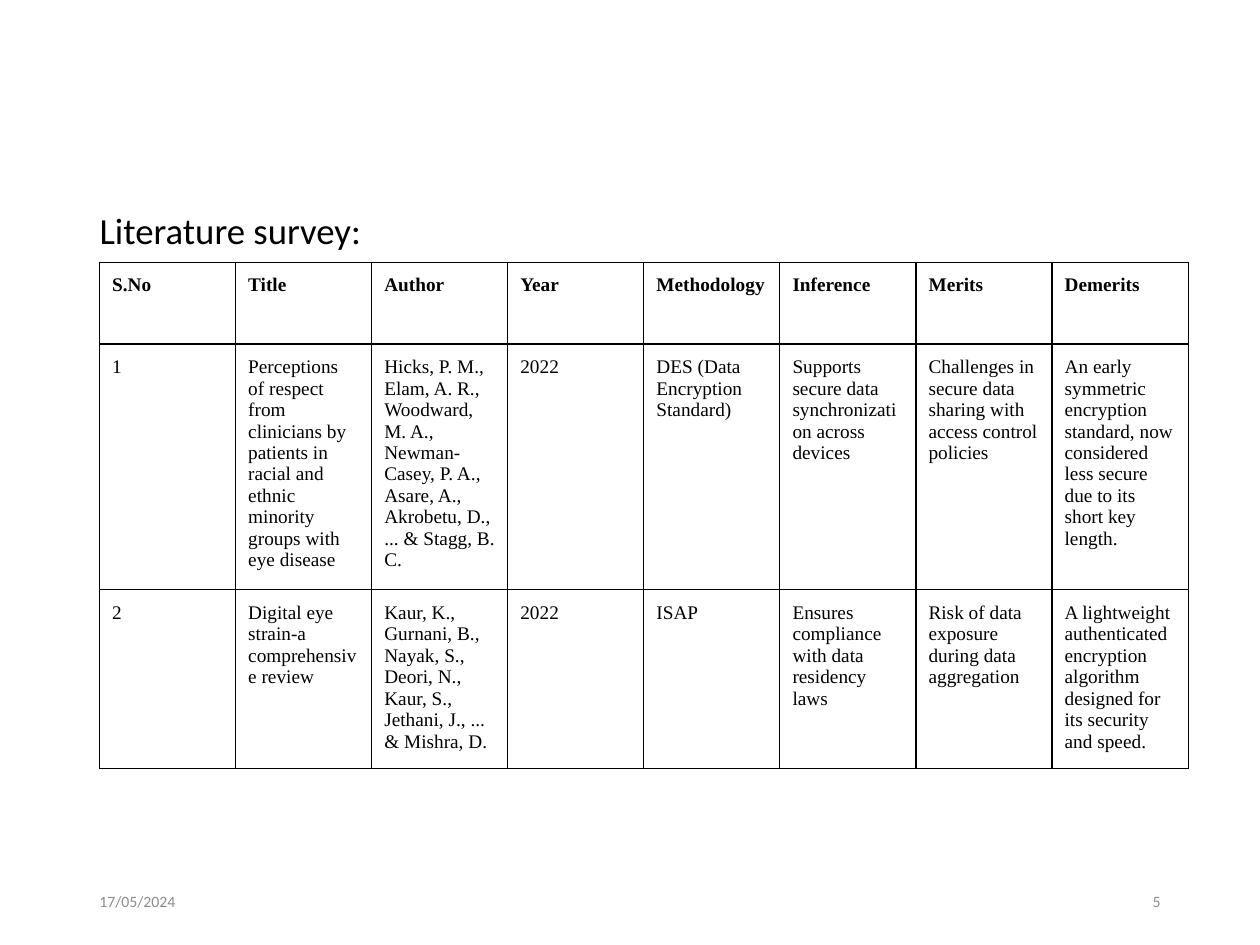
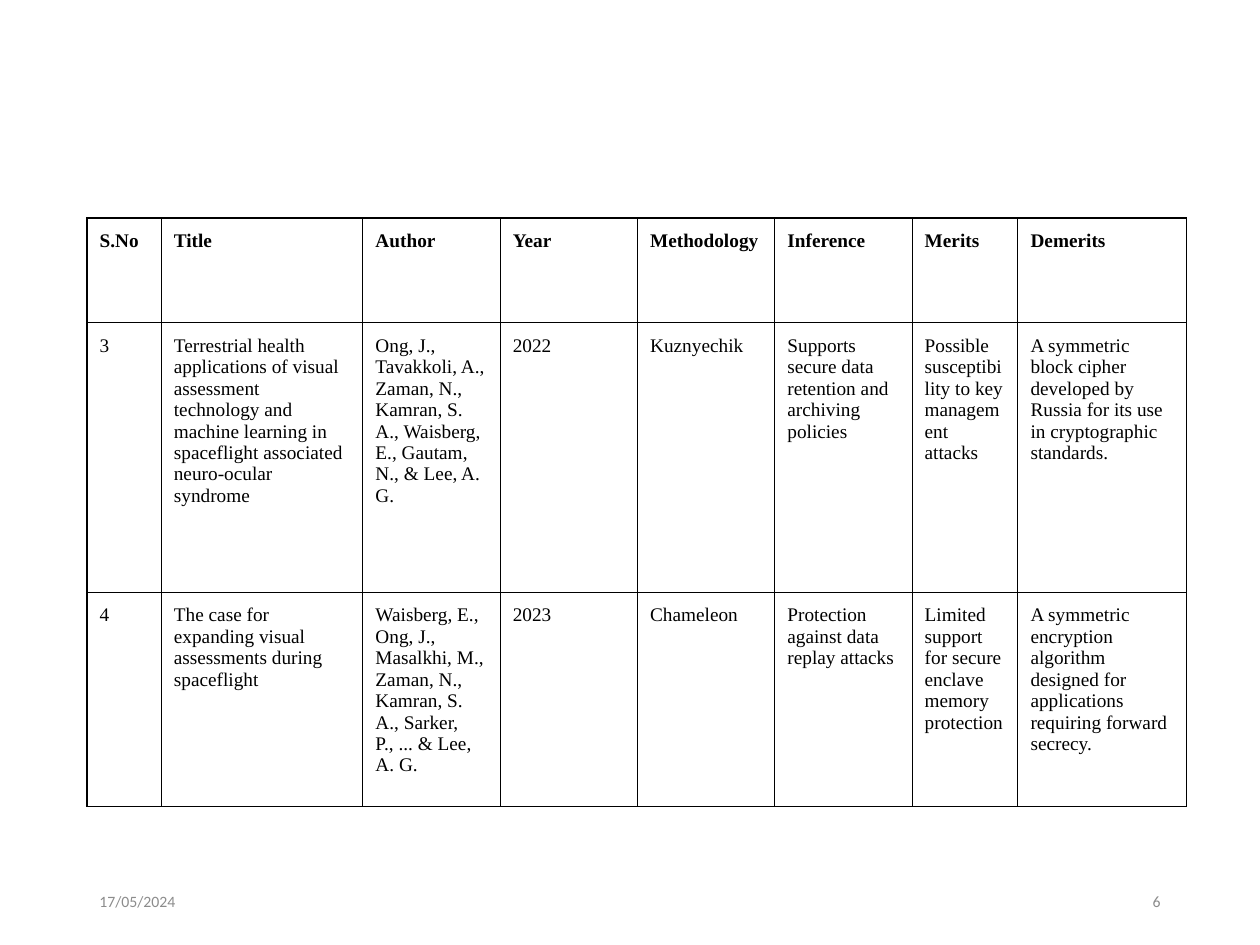
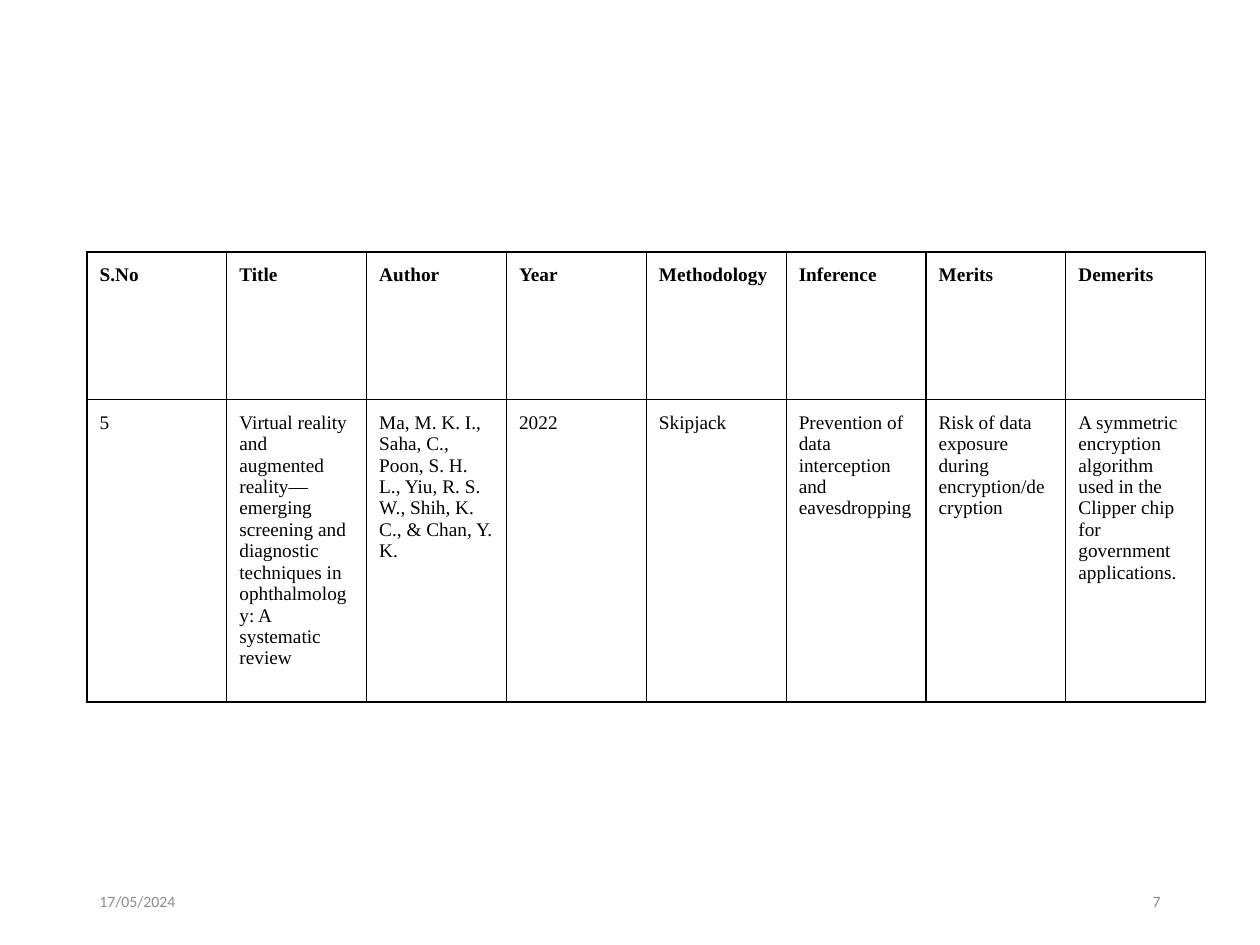
"""Build three literature survey slides, each with a ruled table and a dated footer."""
from lxml import etree
from pptx import Presentation
from pptx.dml.color import RGBColor
from pptx.enum.text import MSO_ANCHOR, MSO_AUTO_SIZE, PP_ALIGN
from pptx.oxml.ns import qn
from pptx.util import Inches, Pt

MIDDLE = MSO_ANCHOR.MIDDLE
NO_AUTOFIT = MSO_AUTO_SIZE.NONE
LEFT, RIGHT = PP_ALIGN.LEFT, PP_ALIGN.RIGHT

BLACK = RGBColor(0x00, 0x00, 0x00)
GRAY = RGBColor(0x8C, 0x8C, 0x8C)
HEADING_FONT = "Calibri"
TABLE_FONT = "Times New Roman"

SLIDE_WIDTH, SLIDE_HEIGHT = Inches(10), Inches(7.5)
MARGIN = Inches(0.69)
CONTENT_WIDTH = SLIDE_WIDTH - 2 * MARGIN
FOOTER_WIDTH = Inches(2.25)
FOOTER_HEIGHT = Inches(0.4)
FOOTER_TOP = Inches(6.95)
CELL_MARGIN = Inches(0.1)
BORDER_WIDTH = Pt(0.75)

DATE = "17/05/2024"
FIRST_NUMBER = 5
HEADERS = ["S.No", "Title", "Author", "Year", "Methodology", "Inference", "Merits", "Demerits"]

SURVEYS = [
    {
        "heading": "Literature survey:",
        "left": 0.79,
        "top": 2.08,
        "columns": [1.08] * len(HEADERS),
        "rows": [0.65, 1.95, 1.42],
        "entries": [
            ["1",
             "Perceptions of respect from clinicians by patients in racial and ethnic minority groups "
             "with eye disease",
             "Hicks, P. M., Elam, A. R., Woodward, M. A., Newman-Casey, P. A., Asare, A., "
             "Akrobetu, D., ... & Stagg, B. C.",
             "2022",
             "DES (Data Encryption Standard)",
             "Supports secure data synchronization across devices",
             "Challenges in secure data sharing with access control policies",
             "An early symmetric encryption standard, now considered less secure due to its short "
             "key length."],
            ["2",
             "Digital eye strain-a comprehensive review",
             "Kaur, K., Gurnani, B., Nayak, S., Deori, N., Kaur, S., Jethani, J., ... & Mishra, D.",
             "2022",
             "ISAP",
             "Ensures compliance with data residency laws",
             "Risk of data exposure during data aggregation",
             "A lightweight authenticated encryption algorithm designed for its security and speed."],
        ],
    },
    {
        "heading": None,
        "left": 0.69,
        "top": 1.73,
        "columns": [0.59, 1.6, 1.09, 1.09, 1.09, 1.09, 0.84, 1.34],
        "rows": [0.83, 2.14, 1.7],
        "entries": [
            ["3",
             "Terrestrial health applications of visual assessment technology and machine learning "
             "in spaceflight associated neuro-ocular syndrome",
             "Ong, J., Tavakkoli, A., Zaman, N., Kamran, S. A., Waisberg, E., Gautam, N., "
             "& Lee, A. G.",
             "2022",
             "Kuznyechik",
             "Supports secure data retention and archiving policies",
             "Possible susceptibility to key management attacks",
             "A symmetric block cipher developed by Russia for its use in cryptographic standards."],
            ["4",
             "The case for expanding visual assessments during spaceflight",
             "Waisberg, E., Ong, J., Masalkhi, M., Zaman, N., Kamran, S. A., Sarker, P., ... "
             "& Lee, A. G.",
             "2023",
             "Chameleon",
             "Protection against data replay attacks",
             "Limited support for secure enclave memory protection",
             "A symmetric encryption algorithm designed for applications requiring forward secrecy."],
        ],
    },
    {
        "heading": None,
        "left": 0.69,
        "top": 2,
        "columns": [1.11] * len(HEADERS),
        "rows": [1.17, 2.23],
        "entries": [
            ["5",
             "Virtual reality and augmented reality—emerging screening and diagnostic techniques in "
             "ophthalmology: A systematic review",
             "Ma, M. K. I., Saha, C., Poon, S. H. L., Yiu, R. S. W., Shih, K. C., & Chan, Y. K.",
             "2022",
             "Skipjack",
             "Prevention of data interception and eavesdropping",
             "Risk of data exposure during encryption/decryption",
             "A symmetric encryption algorithm used in the Clipper chip for government applications."],
        ],
    },
]


def write(paragraph, text, font_name, size, color, bold=False):
    run = paragraph.add_run()
    run.text = text
    run.font.name = font_name
    run.font.size = Pt(size)
    run.font.bold = bold
    run.font.color.rgb = color


def draw_borders(cell):
    properties = cell._tc.get_or_add_tcPr()
    for side in ("a:lnL", "a:lnR", "a:lnT", "a:lnB"):
        line = etree.SubElement(properties, qn(side), w=str(BORDER_WIDTH))
        fill = etree.SubElement(line, qn("a:solidFill"))
        etree.SubElement(fill, qn("a:srgbClr"), val=str(BLACK))


presentation = Presentation()
presentation.slide_width = SLIDE_WIDTH
presentation.slide_height = SLIDE_HEIGHT
content_layout = presentation.slide_layouts.get_by_name("Title and Content")
blank_layout = presentation.slide_layouts.get_by_name("Blank")

for number, survey in enumerate(SURVEYS, FIRST_NUMBER):
    slide = presentation.slides.add_slide(content_layout if survey["heading"] else blank_layout)

    if survey["heading"]:
        title = slide.shapes.title
        title.element.getparent().remove(title.element)
        body = slide.placeholders[1]
        body.left, body.top = MARGIN, Inches(1.64)
        body.width, body.height = CONTENT_WIDTH, Inches(5.12)
        body.text_frame.auto_size = NO_AUTOFIT
        paragraph = body.text_frame.paragraphs[0]
        paragraph.line_spacing = 0.9
        paragraph.space_before = Pt(7.5)
        paragraph_properties = paragraph._p.get_or_add_pPr()
        paragraph_properties.set("marL", "0")
        paragraph_properties.set("indent", "0")
        etree.SubElement(paragraph_properties, qn("a:buNone"))
        write(paragraph, survey["heading"], HEADING_FONT, 21, BLACK)

    table = slide.shapes.add_table(
        len(survey["rows"]), len(HEADERS), Inches(survey["left"]), Inches(survey["top"]),
        Inches(sum(survey["columns"])), Inches(sum(survey["rows"]))).table
    table.first_row = table.horz_banding = False
    for column, width in zip(table.columns, survey["columns"]):
        column.width = Inches(width)
    for row, height in zip(table.rows, survey["rows"]):
        row.height = Inches(height)
    for row_index, texts in enumerate([HEADERS] + survey["entries"]):
        for column_index, text in enumerate(texts):
            cell = table.cell(row_index, column_index)
            cell.margin_left = cell.margin_right = CELL_MARGIN
            cell.margin_top = cell.margin_bottom = CELL_MARGIN
            draw_borders(cell)
            cell.fill.background()
            write(cell.text_frame.paragraphs[0], text, TABLE_FONT, 11, BLACK, row_index == 0)

    footers = [(DATE, MARGIN, LEFT),
               (str(number), SLIDE_WIDTH - MARGIN - FOOTER_WIDTH, RIGHT)]
    for text, left, alignment in footers:
        footer = slide.shapes.add_textbox(left, FOOTER_TOP, FOOTER_WIDTH, FOOTER_HEIGHT)
        footer.text_frame.word_wrap = True
        footer.text_frame.vertical_anchor = MIDDLE
        paragraph = footer.text_frame.paragraphs[0]
        paragraph.alignment = alignment
        write(paragraph, text, HEADING_FONT, 9, GRAY)

presentation.save("out.pptx")
